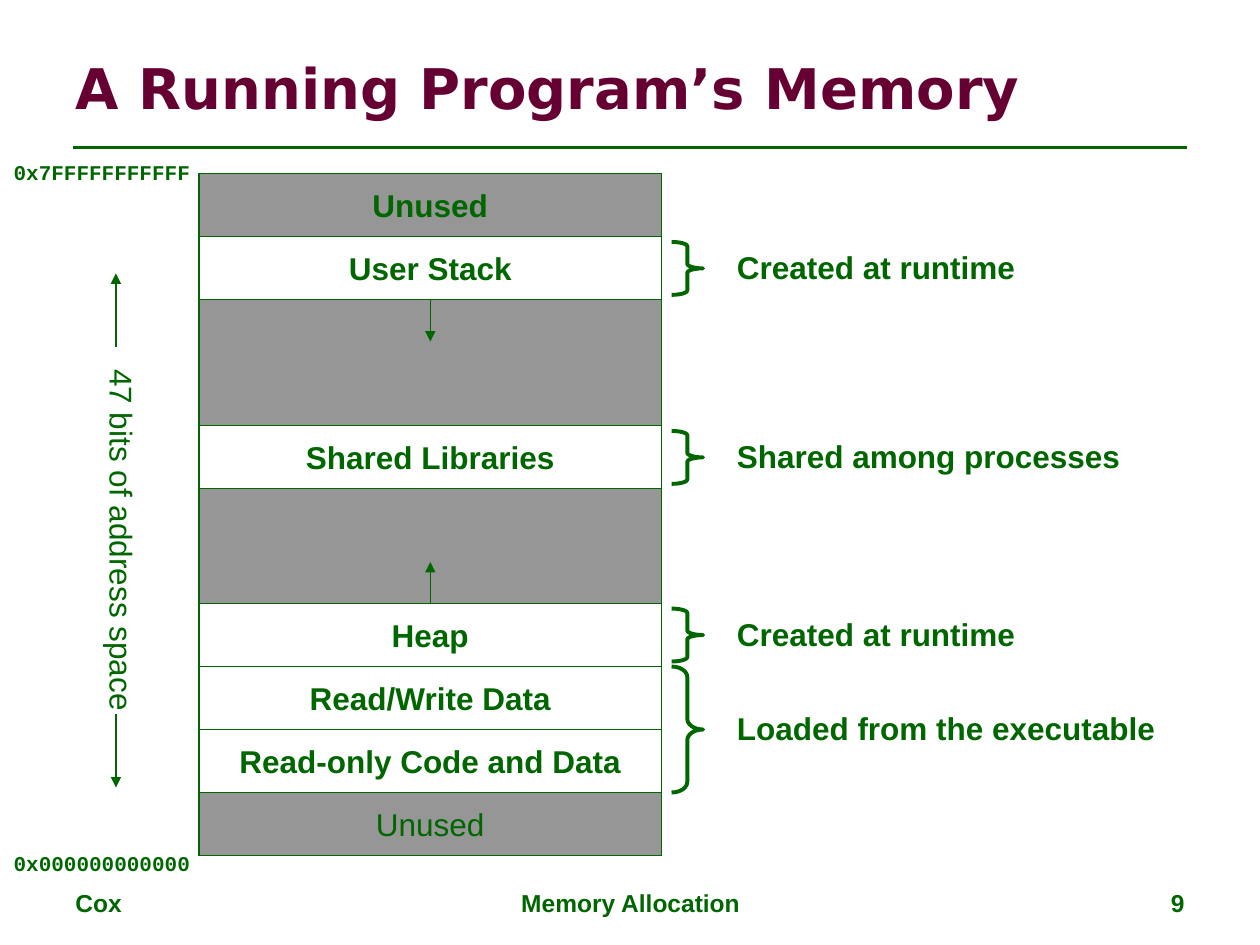
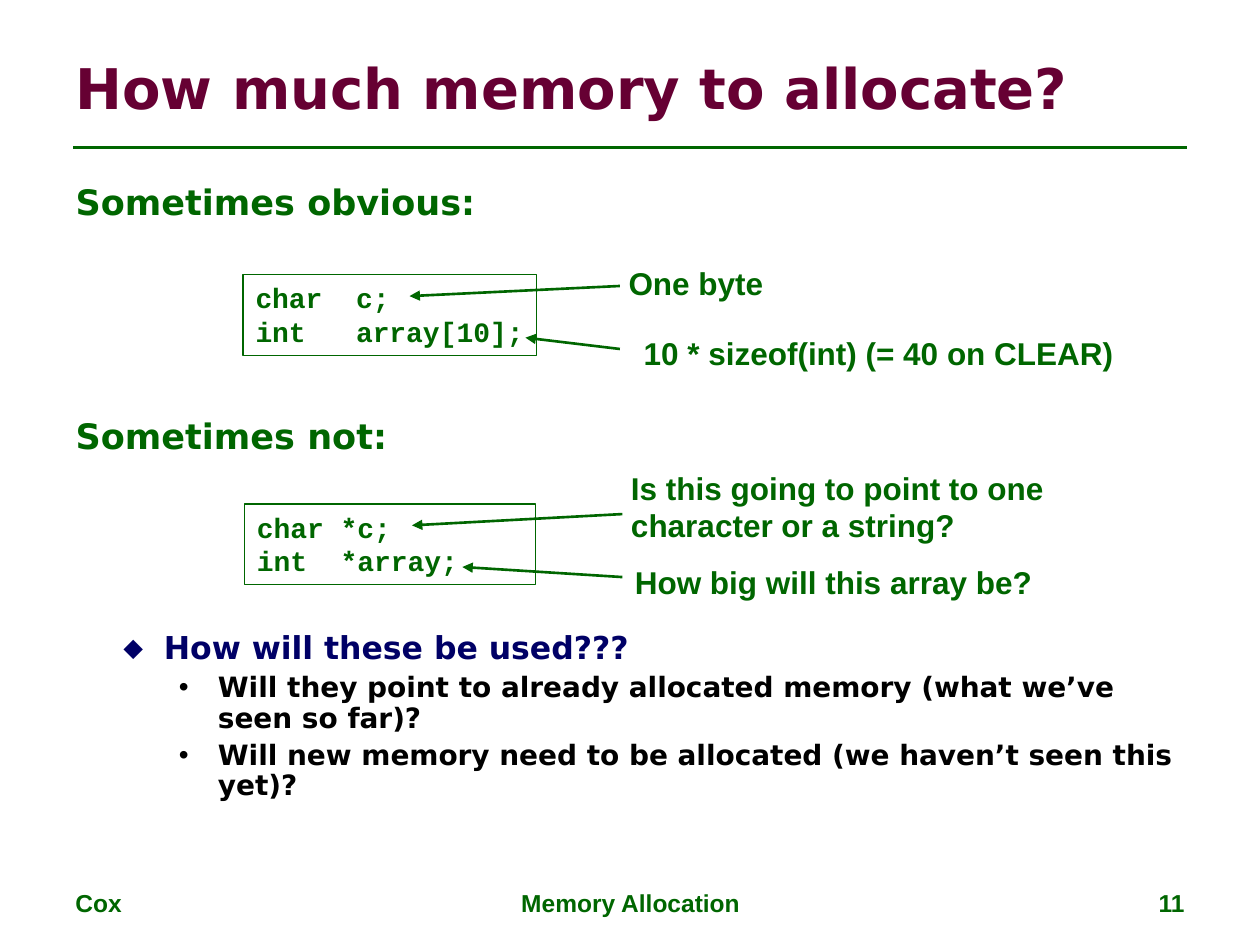
from dataclasses import dataclass

from lxml import etree
from pptx import Presentation
from pptx.dml.color import RGBColor
from pptx.enum.shapes import MSO_CONNECTOR as Connector, MSO_SHAPE as Preset
from pptx.enum.text import MSO_ANCHOR as Anchor, MSO_AUTO_SIZE as AutoSize, PP_ALIGN as Align
from pptx.oxml.ns import qn
from pptx.util import Inches, Pt


@dataclass(frozen=True)
class Theme:
    green: str = "006600"
    maroon: str = "660033"
    navy: str = "000066"
    black: str = "000000"
    gray: str = "969696"
    white: str = "FFFFFF"
    heading: str = "DejaVu Sans"
    label: str = "Arial"
    code: str = "Courier New"
    title_size: int = 32
    topic_size: int = 20
    label_size: int = 18
    code_size: int = 16
    footer_size: int = 14
    address_size: int = 12
    thin: float = 0.75
    rule: float = 1.5
    brace: float = 2.25


BOTTOM, TOP = 2, 0
LEVELS = [
    {"margin": 0.19, "indent": -0.19, "size": "topic_size", "color": "green", "bullet": None},
    {"margin": 0.7, "indent": -0.32, "size": "label_size", "color": "navy",
     "bullet": "⬥", "scale": 90},
    {"margin": 1.13, "indent": -0.31, "size": "code_size", "color": "black",
     "bullet": "•", "scale": 100},
]


def apply(target, values):
    for name, value in values.items():
        setattr(target, name, value)


class Deck:
    def __init__(self, theme):
        self.theme = theme
        self.presentation = Presentation()
        apply(self.presentation, {"slide_width": Inches(10), "slide_height": Inches(7.5)})
        self.slide = None

    def color(self, name):
        return RGBColor.from_string(getattr(self.theme, name))

    def add_words(self, paragraph, text, face="label", size="label_size", color="green",
                  bold=True):
        run = paragraph.add_run()
        run.text = text
        apply(run.font, {
            "name": getattr(self.theme, face),
            "size": Pt(getattr(self.theme, size)),
            "bold": bold,
        })
        run.font.color.rgb = self.color(color)

    def place(self, shape, left, top, width, height):
        apply(shape, {"left": Inches(left), "top": Inches(top),
                      "width": Inches(width), "height": Inches(height)})

    def start(self, title, number, layout):
        layouts = self.presentation.slide_layouts
        self.slide = self.presentation.slides.add_slide(layouts.get_by_name(layout))
        heading = self.slide.shapes.title
        self.place(heading, 0.5, 0.3, 9, 0.78)
        apply(heading.text_frame, {"vertical_anchor": Anchor.MIDDLE, "auto_size": AutoSize.NONE})
        paragraph = heading.text_frame.paragraphs[0]
        paragraph.alignment = Align.LEFT
        self.add_words(paragraph, title, "heading", "title_size", "maroon")
        self.line((0.58, 1.17), (9.42, 1.17), self.theme.rule)
        for text, left, width, align in [
            ("Cox", 0.5, 2.33, Align.LEFT),
            ("Memory Allocation", 3.42, 3.17, Align.CENTER),
            (number, 7.17, 2.33, Align.RIGHT),
        ]:
            self.text([text], (left, 7, width, 0.35), wrap=True, fit=False, align=align,
                      size="footer_size")

    def fill_text(self, shape, lines, wrap=False, fit=True, align=Align.LEFT,
                  anchor=Anchor.TOP, **style):
        frame = shape.text_frame
        apply(frame, {
            "word_wrap": wrap,
            "auto_size": AutoSize.SHAPE_TO_FIT_TEXT if fit else AutoSize.NONE,
            "vertical_anchor": anchor,
        })
        for index, line in enumerate(lines):
            paragraph = frame.add_paragraph() if index else frame.paragraphs[0]
            paragraph.alignment = align
            self.add_words(paragraph, line, **style)

    def text(self, lines, box, **options):
        holder = self.slide.shapes.add_textbox(*map(Inches, box))
        self.fill_text(holder, lines, **options)
        return holder

    def vertical_text(self, line, box, **options):
        holder = self.text([line], box, **options)
        apply(holder.text_frame, {
            "margin_left": Inches(0.05), "margin_right": Inches(0.05),
            "margin_top": Inches(0.1), "margin_bottom": Inches(0.1),
        })
        holder.element.txBody.find(qn("a:bodyPr")).set("vert", "eaVert")

    def shape(self, preset, box, fill=None, width=None):
        outline = self.slide.shapes.add_shape(preset, *map(Inches, box))
        outline.shadow.inherit = False
        if fill:
            outline.fill.solid()
            outline.fill.fore_color.rgb = self.color(fill)
        else:
            outline.fill.background()
        outline.line.color.rgb = self.color("green")
        outline.line.width = Pt(width or self.theme.thin)
        return outline

    def brace(self, left, top, height):
        width = 0.25
        bracket = self.shape(Preset.RIGHT_BRACE, (left, top, width, height),
                             width=self.theme.brace)
        bracket.adjustments[0] = height / 12 / width

    def line(self, start, end, width, arrow=False):
        stroke = self.slide.shapes.add_connector(
            Connector.STRAIGHT, *map(Inches, (*start, *end)))
        stroke.line.color.rgb = self.color("green")
        stroke.line.width = Pt(width)
        properties = stroke.element.spPr
        if arrow:
            etree.SubElement(properties.find(qn("a:ln")), qn("a:tailEnd"), type="triangle")
        etree.SubElement(properties, qn("a:effectLst"))
        return stroke

    def outline(self, items, box):
        body = self.slide.placeholders[1]
        self.place(body, *box)
        frame = body.text_frame
        frame.auto_size = AutoSize.NONE
        for index, (level, before, text) in enumerate(items):
            paragraph = frame.add_paragraph() if index else frame.paragraphs[0]
            style = LEVELS[level]
            paragraph.level = level
            self.bullet(paragraph, style)
            apply(paragraph, {"line_spacing": 0.9, "space_before": Pt(before),
                              "alignment": Align.LEFT})
            self.add_words(paragraph, text, "heading", style["size"], style["color"])

    def bullet(self, paragraph, style):
        properties = paragraph._p.get_or_add_pPr()
        properties.set("marL", str(Inches(style["margin"])))
        properties.set("indent", str(Inches(style["indent"])))
        if not style["bullet"]:
            etree.SubElement(properties, qn("a:buNone"))
            return
        tint = etree.SubElement(properties, qn("a:buClr"))
        etree.SubElement(tint, qn("a:srgbClr"), val=getattr(self.theme, style["color"]))
        etree.SubElement(properties, qn("a:buSzPct"), val=str(style["scale"] * 1000))
        etree.SubElement(properties, qn("a:buChar"), char=style["bullet"])


def memory_map(deck):
    theme = deck.theme
    deck.start("A Running Program’s Memory", "9", "Title Only")
    left, top, width, row = 1.58, 1.38, 3.67, 0.5
    deck.shape(Preset.RECTANGLE, (left, top, width, 5.41), "gray")
    regions = [
        ("Unused", row, "gray", True),
        ("User Stack", row, "white", True),
        (None, 1, None, True),
        ("Shared Libraries", row, "white", True),
        (None, 0.91, None, True),
        ("Heap", row, "white", True),
        ("Read/Write Data", row, "white", True),
        ("Read-only Code and Data", row, "white", True),
        ("Unused", row, None, False),
    ]
    tops, blocks = {}, {}
    for name, height, fill, bold in regions:
        if name:
            block = deck.shape(Preset.RECTANGLE, (left, top, width, height), fill)
            deck.fill_text(block, [name], fit=False, align=Align.CENTER,
                           anchor=Anchor.MIDDLE, bold=bold)
            tops[name], blocks[name] = top, block
        top += height

    middle = left + width / 2
    for name, side, edge, growth in [
        ("Heap", TOP, tops["Heap"], -0.33),
        ("User Stack", BOTTOM, tops["User Stack"] + row, 0.33),
    ]:
        arrow = deck.line((middle, edge), (middle, edge + growth), theme.thin, arrow=True)
        arrow.begin_connect(blocks[name], side)

    for address, y in [("0x7FFFFFFFFFFF", 1.22), ("0x000000000000", 6.7)]:
        deck.text([address], (0.01, y, 1.6, 0.3), face="code", size="address_size")

    for name, rows, inset, origin, caption_width in [
        ("Read/Write Data", 2, 0, "Loaded from the executable", 3.52),
        ("Heap", 1, 0.04, "Created at runtime", 2.41),
        ("User Stack", 1, 0.04, "Created at runtime", 2.41),
        ("Shared Libraries", 1, 0.04, "Shared among processes", 3.24),
    ]:
        span = rows * row
        deck.brace(5.33, tops[name] + inset, span - 2 * inset)
        deck.text([origin], (5.75, tops[name] + span / 2 - 0.21, caption_width, 0.4))

    deck.vertical_text("47 bits of address space", (0.67, 2.83, 0.5, 2.81), bold=False)
    for start, end in [(5.67, 6.25), (2.75, 2.17)]:
        deck.line((0.92, start), (0.92, end), theme.thin, arrow=True)


def allocation_size(deck):
    theme = deck.theme
    deck.start("How much memory to allocate?", "11", "Title and Content")
    deck.outline([
        (0, 0, "Sometimes obvious:"),
        (0, 112, "Sometimes not:"),
        (1, 100.5, "How will these be used???"),
        (2, 4, "Will they point to already allocated memory (what we’ve seen so far)?"),
        (2, 4, "Will new memory need to be allocated (we haven’t seen this yet)?"),
    ], (0.5, 1.42, 9, 5.28))

    for code, box, wrap in [
        (["char  c;", "int   array[10];"], (1.93, 2.18, 2.33, 0.64), False),
        (["char *c;", "int  *array;"], (1.94, 4, 2.31, 0.64), True),
    ]:
        declaration = deck.shape(Preset.RECTANGLE, box)
        deck.fill_text(declaration, code, wrap=wrap, face="code", size="code_size")

    for remark, box, wrap, start, end in [
        ("One byte", (4.89, 2.05, 1.27, 0.4), False, (4.92, 2.27), (3.25, 2.35)),
        ("10 * sizeof(int) (= 40 on CLEAR)", (5.01, 2.6, 3.93, 0.4), False,
         (4.92, 2.77), (4.17, 2.68)),
        ("Is this going to point to one character or a string?", (4.91, 3.67, 3.84, 0.7), True,
         (4.94, 4.08), (3.27, 4.17)),
        ("How big will this array be?", (4.94, 4.42, 3.35, 0.4), False,
         (4.94, 4.58), (3.67, 4.5)),
    ]:
        deck.text([remark], box, wrap=wrap)
        deck.line(start, end, theme.rule, arrow=True)


def main():
    deck = Deck(Theme())
    memory_map(deck)
    allocation_size(deck)
    deck.presentation.save("out.pptx")


if __name__ == "__main__":
    main()
